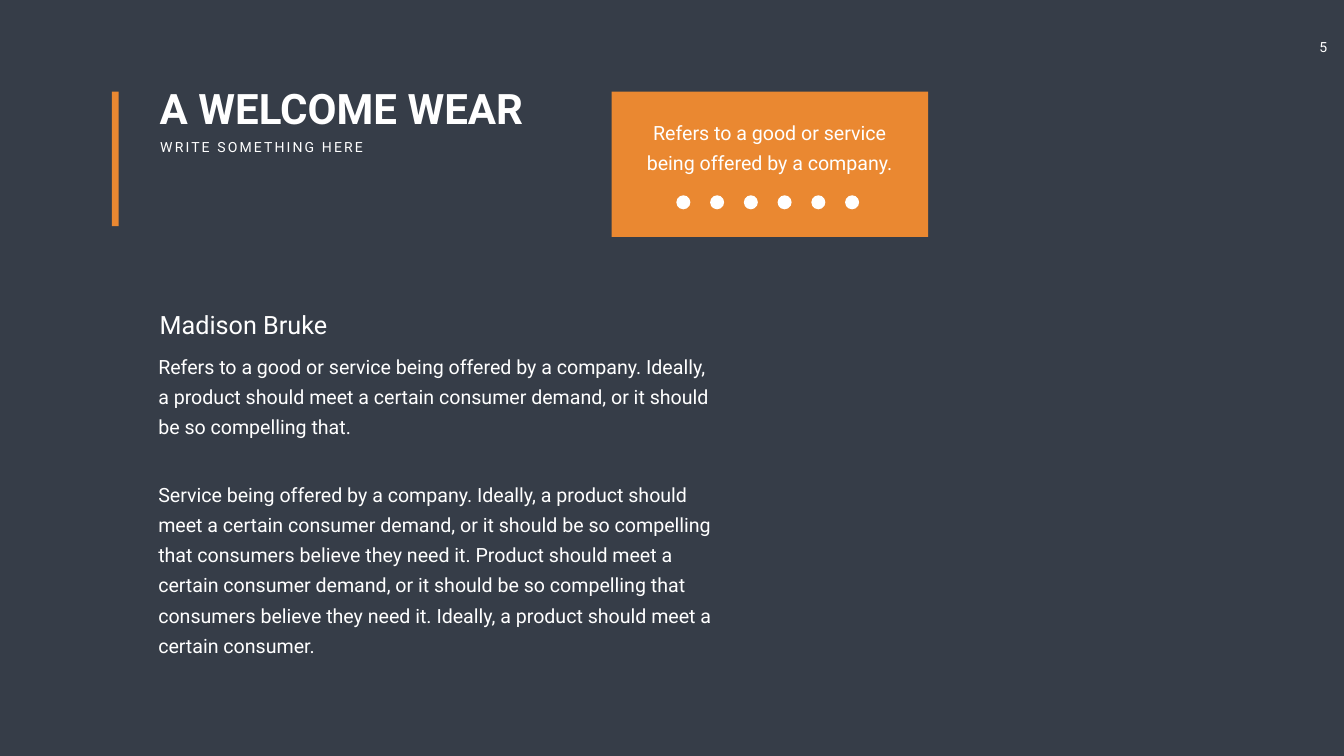
from pptx import Presentation
from pptx.dml.color import RGBColor
from pptx.enum.shapes import MSO_SHAPE
from pptx.enum.text import PP_ALIGN
from pptx.util import Pt

RECTANGLE = MSO_SHAPE.RECTANGLE
OVAL = MSO_SHAPE.OVAL
LEFT = PP_ALIGN.LEFT
CENTER = PP_ALIGN.CENTER

COLORS = {"background": "363D48", "accent": "EA8831", "text": "FFFFFF"}
FONT = "Roboto"
LINE_HEIGHT = 43
PARAGRAPH_GAP = 54.2
NARROW_INSETS = (7.2, 3.6)
WIDE_INSETS = (17.28, 8.64)

INTRO = (
    "Refers to a good or service being offered by a company. Ideally, a product "
    "should meet a certain consumer demand, or it should be so compelling that."
)
DETAILS = (
    "Service being offered by a company. Ideally, a product should meet a certain "
    "consumer demand, or it should be so compelling that consumers believe they "
    "need it. Product should meet a certain consumer demand, or it should be so "
    "compelling that consumers believe they need it. Ideally, a product should "
    "meet a certain consumer."
)
CARD_TEXT = "Refers to a good or service being offered by a company."


def color(name):
    return RGBColor.from_string(COLORS[name])


def add_block(page, kind, left, top, width, height, fill):
    block = page.shapes.add_shape(kind, Pt(left), Pt(top), Pt(width), Pt(height))
    block.shadow.inherit = False
    block.fill.solid()
    block.fill.fore_color.rgb = color(fill)
    block.line.fill.background()


def add_text(page, left, top, width, height, paragraphs, size, bold=False,
             align=LEFT, insets=NARROW_INSETS, line_height=None, tracking=None):
    box = page.shapes.add_textbox(Pt(left), Pt(top), Pt(width), Pt(height))
    frame = box.text_frame
    frame.word_wrap = True
    frame.margin_left = frame.margin_right = Pt(insets[0])
    frame.margin_top = frame.margin_bottom = Pt(insets[1])
    frame.text = "\n".join(paragraphs)
    for index, para in enumerate(frame.paragraphs):
        para.alignment = align
        if line_height:
            para.line_spacing = Pt(line_height)
        if index:
            para.space_before = Pt(PARAGRAPH_GAP)
        for span in para.runs:
            span.font.name = FONT
            span.font.size = Pt(size)
            span.font.bold = bold
            span.font.color.rgb = color("text")
            if tracking:
                span.font._element.set("spc", str(tracking * 100))


def add_icon_row(page, first_center, middle, pitch, size, count):
    for index in range(count):
        left = first_center + index * pitch - size / 2
        add_block(page, OVAL, left, middle - size / 2, size, size, "text")


def add_heading(page):
    add_block(page, RECTANGLE, 160, 131, 9.4, 192, "accent")
    add_text(page, 221, 114.5, 600, 80, ["A WELCOME WEAR"], 60, bold=True)
    add_text(page, 221.8, 194.4, 313, 31.7, ["WRITE SOMETHING HERE"], 20, tracking=3)


def add_card(page):
    add_block(page, RECTANGLE, 873.4, 131, 452.2, 207.4, "accent")
    add_text(page, 891.4, 154.1, 415.4, 100, [CARD_TEXT], 28, align=CENTER,
             insets=WIDE_INSETS, line_height=LINE_HEIGHT)
    add_icon_row(page, 976, 289, 48.2, 20, 6)


def add_profile(page):
    add_text(page, 221, 438.5, 408, 51, ["Madison Bruke"], 36)
    add_text(page, 208.8, 488.9, 825, 460, [INTRO, DETAILS], 28,
             insets=WIDE_INSETS, line_height=LINE_HEIGHT)


def main():
    deck = Presentation()
    deck.slide_width = Pt(1919.52)
    deck.slide_height = Pt(1080)
    page = deck.slides.add_slide(deck.slide_layouts[6])
    page.background.fill.solid()
    page.background.fill.fore_color.rgb = color("background")
    add_text(page, 1857.5, 48.2, 65, 39, ["5"], 20, align=CENTER, insets=(14.4, 7.2))
    add_heading(page)
    add_card(page)
    add_profile(page)
    deck.save("out.pptx")


if __name__ == "__main__":
    main()
